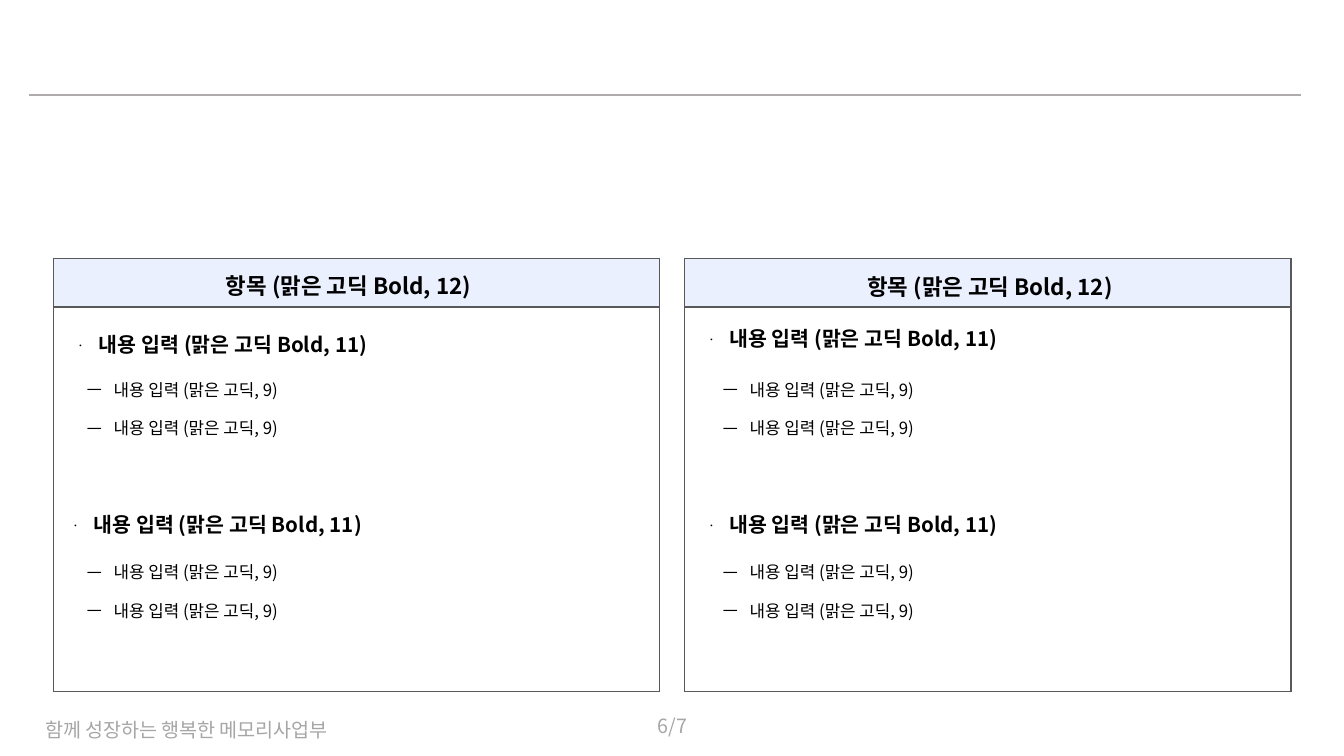
from lxml import etree
from pptx import Presentation
from pptx import util as u
from pptx.dml.color import RGBColor
from pptx.enum import shapes, text
from pptx.oxml import ns

FONT = "Noto Sans CJK KR"
BLACK = RGBColor(0x00, 0x00, 0x00)
GREY = RGBColor(0xA6, 0xA6, 0xA6)
RULE_GREY = RGBColor(0xAF, 0xAB, 0xAB)
HEADER_BLUE = RGBColor(0xEB, 0xF0, 0xFF)
BORDER = RGBColor(0x59, 0x59, 0x59)

TITLE = "항목 (맑은 고딕 Bold, 12)"
HEADING = "내용 입력 (맑은 고딕 Bold, 11)"
DETAIL = "내용 입력 (맑은 고딕, 9)"
PANEL_WIDTH = 11.46
PANELS = [
    {"left": 1.01, "title": (0.86, 4.88), "headings": [(1.04, 5.94, 1.04), (0.94, 9.4, 0.91)], "details": 1.32},
    {"left": 12.94, "title": (12.98, 4.9), "headings": [(12.95, 5.82, 1.04), (12.95, 9.4, 0.91)], "details": 13.34},
]
DETAIL_TOPS = (6.96, 10.41)


class SlideBuilder:
    """Draws styled elements on the current slide, with lengths in centimetres."""

    def __init__(self, slide):
        self.slide = slide

    def text_box(self, left, top, width, height, lines, size, color=BLACK, bold=False,
                 bullet=None, centered=False, middle=False, line_spacing=1.2, insets=(0.25, 0.13)):
        shape = self.slide.shapes.add_textbox(u.Cm(left), u.Cm(top), u.Cm(width), u.Cm(height))
        frame = shape.text_frame
        frame.word_wrap = True
        frame.margin_left = frame.margin_right = u.Cm(insets[0])
        frame.margin_top = frame.margin_bottom = u.Cm(insets[1])
        frame.vertical_anchor = text.MSO_ANCHOR.MIDDLE if middle else text.MSO_ANCHOR.TOP
        for index, line in enumerate(lines):
            paragraph = frame.add_paragraph() if index else frame.paragraphs[0]
            paragraph.text = line
            paragraph.line_spacing = line_spacing
            if index:
                paragraph.space_before = u.Pt(7.5)
            if centered:
                paragraph.alignment = text.PP_ALIGN.CENTER
            if bullet:
                self.add_bullet(paragraph, bullet)
            self.set_font(paragraph.font, size, color, bold)

    def add_bullet(self, paragraph, character):
        properties = paragraph._p.get_or_add_pPr()
        properties.set("marL", str(u.Cm(0.58)))
        properties.set("indent", str(u.Cm(-0.51)))
        etree.SubElement(properties, ns.qn("a:buFont"), typeface=FONT)
        etree.SubElement(properties, ns.qn("a:buChar"), char=character)

    def set_font(self, font, size, color, bold):
        font.size = u.Pt(size)
        font.bold = bold
        font.color.rgb = color
        font.name = FONT
        etree.SubElement(font._element, ns.qn("a:ea"), typeface=FONT)

    def rule(self, left, right, top):
        line = self.slide.shapes.add_connector(
            shapes.MSO_CONNECTOR.STRAIGHT, u.Cm(left), u.Cm(top), u.Cm(right), u.Cm(top))
        line.line.color.rgb = RULE_GREY
        line.line.width = u.Pt(1)
        etree.SubElement(line._element.spPr, ns.qn("a:effectLst"))

    def panel(self, left, top, width, row_heights):
        frame = self.slide.shapes.add_table(
            len(row_heights), 1, u.Cm(left), u.Cm(top), u.Cm(width), u.Cm(sum(row_heights)))
        table = frame.table
        table.first_row = table.horz_banding = False
        for row, height in zip(table.rows, row_heights):
            row.height = u.Cm(height)
            cell = row.cells[0]
            cell.margin_top = cell.margin_bottom = 0
            self.add_borders(cell)
            cell.fill.background()
        header = table.cell(0, 0)
        header.fill.solid()
        header.fill.fore_color.rgb = HEADER_BLUE

    def add_borders(self, cell):
        properties = cell._tc.get_or_add_tcPr()
        for side in "LRTB":
            border = etree.SubElement(properties, ns.qn(f"a:ln{side}"), w=str(u.Pt(0.75)))
            fill = etree.SubElement(border, ns.qn("a:solidFill"))
            etree.SubElement(fill, ns.qn("a:srgbClr"), val=str(BORDER))


def main():
    presentation = Presentation()
    presentation.slide_width = u.Cm(25.4)
    presentation.slide_height = u.Cm(14.28)
    builder = SlideBuilder(presentation.slides.add_slide(presentation.slide_layouts[6]))

    builder.rule(0.55, 24.58, 1.8)
    builder.text_box(11.93, 13.38, 1.55, 0.64, ["6/7"], 10.5, GREY,
                     centered=True, line_spacing=1, insets=(0.18, 0.1))
    builder.text_box(0.61, 13.44, 7.11, 0.71, ["함께 성장하는 행복한 메모리사업부"], 10.5, GREY, line_spacing=1)

    for panel in PANELS:
        builder.panel(panel["left"], 4.89, PANEL_WIDTH, (0.91, 7.26))
        builder.text_box(*panel["title"], PANEL_WIDTH, 0.94, [TITLE], 12,
                         bold=True, centered=True, middle=True)
        for (left, top, height), detail_top in zip(panel["headings"], DETAIL_TOPS):
            builder.text_box(left, top, 10.87, height, [HEADING], 11,
                             bold=True, bullet="ᆞ", middle=True)
            builder.text_box(panel["details"], detail_top, 10.52, 2.34, [DETAIL] * 2, 9, bullet="ￚ")

    presentation.save("out.pptx")


if __name__ == "__main__":
    main()
